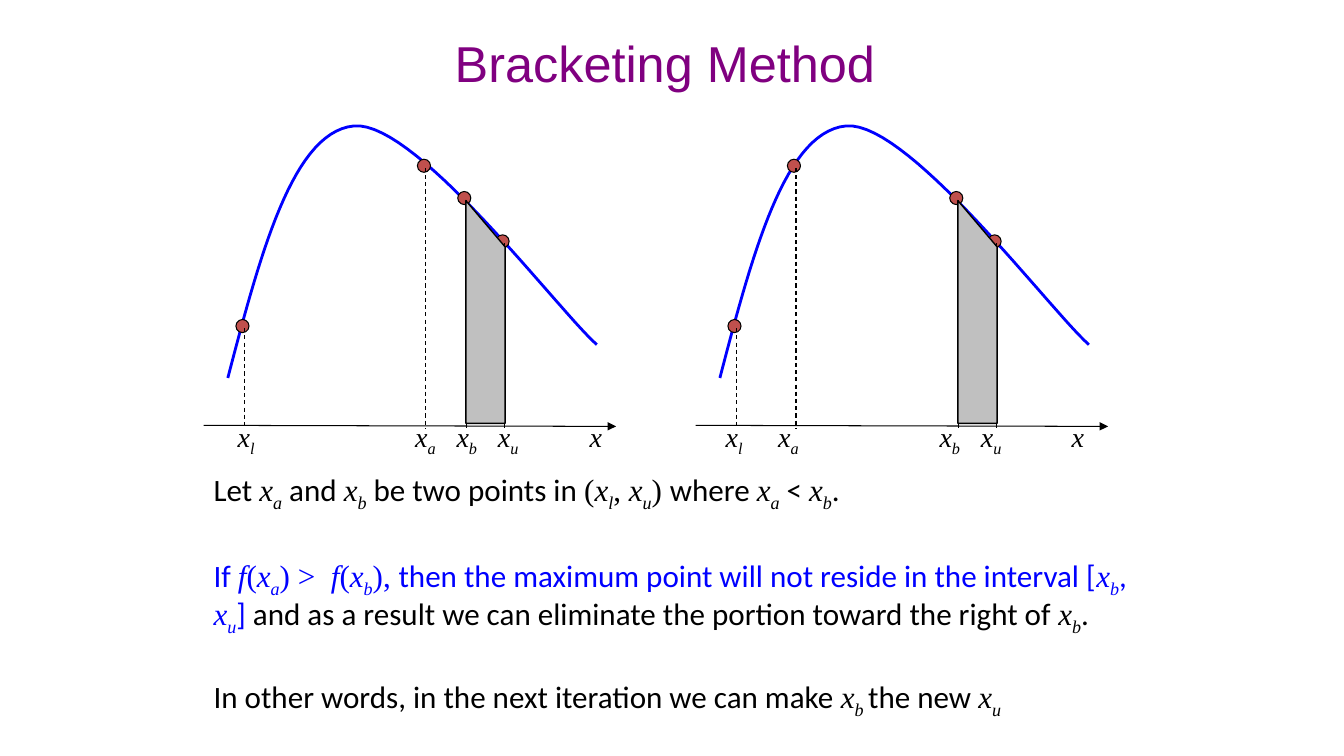
from dataclasses import dataclass

from lxml import etree
from pptx import Presentation
from pptx.dml.color import RGBColor
from pptx.enum.dml import MSO_LINE
from pptx.enum.shapes import MSO_CONNECTOR, MSO_SHAPE
from pptx.enum.text import MSO_ANCHOR, PP_ALIGN
from pptx.oxml.ns import qn
from pptx.util import Inches, Pt

STRAIGHT = MSO_CONNECTOR.STRAIGHT
OVAL = MSO_SHAPE.OVAL
DASH = MSO_LINE.DASH
MIDDLE = MSO_ANCHOR.MIDDLE
CENTER = PP_ALIGN.CENTER
TITLE_ONLY = 5
CELL = Inches(0.1)  # grid unit used for every length


@dataclass(frozen=True)
class Theme:
    black: RGBColor = RGBColor(0x00, 0x00, 0x00)
    blue: RGBColor = RGBColor(0x00, 0x00, 0xFF)
    purple: RGBColor = RGBColor(0x80, 0x00, 0x80)
    red: RGBColor = RGBColor(0xC0, 0x50, 0x4D)
    grey: RGBColor = RGBColor(0xC0, 0xC0, 0xC0)
    title_font: str = "Arial"
    body_font: str = "Calibri"
    math_font: str = "Times New Roman"
    title_size: float = 36
    body_size: float = 22.2
    label_size: float = 20
    thin: float = 0.75
    outline: float = 1
    curve: float = 2


THEME = Theme()

# Run styles: font, italic, subscript
PLAIN = (THEME.body_font, False, False)
MATH = (THEME.math_font, False, False)
VARIABLE = (THEME.math_font, True, False)
SUBSCRIPT = (THEME.math_font, True, True)


def cells(value):
    return round(value * CELL)


def add_run(paragraph, text, style, size, color):
    font_name, italic, subscript = style
    run = paragraph.add_run()
    run.text = text
    run.font.name = font_name
    run.font.size = Pt(size)
    run.font.italic = italic
    run.font.color.rgb = color
    if subscript:
        run.font._element.set("baseline", "-25000")


def add_variable(paragraph, index, size, color):
    add_run(paragraph, "x", VARIABLE, size, color)
    if index:
        add_run(paragraph, index, SUBSCRIPT, size, color)


def add_text_box(slide, box):
    frame = slide.shapes.add_textbox(*map(cells, box)).text_frame
    frame.word_wrap = True
    return frame


def add_line(slide, start, end, dashed=False, arrow=False):
    line = slide.shapes.add_connector(STRAIGHT, *map(cells, start + end))
    line.line.color.rgb = THEME.black
    line.line.width = Pt(THEME.thin)
    if dashed:
        line.line.dash_style = DASH
    if arrow:
        etree.SubElement(line.line._get_or_add_ln(), qn("a:tailEnd"), type="triangle")
    etree.SubElement(line._element.spPr, qn("a:effectLst"))


def style_shape(shape, fill, line_color, width):
    shape.shadow.inherit = False
    if fill is None:
        shape.fill.background()
    else:
        shape.fill.solid()
        shape.fill.fore_color.rgb = fill
    shape.line.color.rgb = line_color
    shape.line.width = Pt(width)


def add_outline(slide, points, closed, fill, line_color, width):
    first, *rest = [(cells(x), cells(y)) for x, y in points]
    builder = slide.shapes.build_freeform(*first)
    builder.add_line_segments(rest, close=closed)
    style_shape(builder.convert_to_shape(), fill, line_color, width)


def bezier(controls, steps=30):
    """Points along one cubic segment, without its start."""
    for step in range(1, steps + 1):
        t = step / steps
        weights = ((1 - t) ** 3, 3 * t * (1 - t) ** 2, 3 * t * t * (1 - t), t ** 3)
        yield tuple(sum(w * point[axis] for w, point in zip(weights, controls))
                    for axis in (0, 1))


def add_title(slide, text, box):
    title = slide.shapes.title
    title.left, title.top, title.width, title.height = map(cells, box)
    title.text_frame.vertical_anchor = MIDDLE
    paragraph = title.text_frame.paragraphs[0]
    paragraph.alignment = CENTER
    add_run(paragraph, text, (THEME.title_font, False, False),
            THEME.title_size, THEME.purple)


def add_axis_labels(slide, left, top, label_columns):
    first, *rest = label_columns
    frame = add_text_box(slide, (left + first - 1, top, 42, 4.3))
    paragraph = frame.paragraphs[0]
    tabs = etree.SubElement(paragraph._p.get_or_add_pPr(), qn("a:tabLst"))
    for column in rest:
        etree.SubElement(tabs, qn("a:tab"), pos=str(cells(column - first)), algn="l")
    for position, index in enumerate(("l", "a", "b", "u", "")):
        if position:
            add_run(paragraph, "\t", MATH, THEME.label_size, THEME.black)
        add_variable(paragraph, index, THEME.label_size, THEME.black)


def add_graph(slide, box, a_column, label_columns):
    left, top, width, height = box

    def place(x, y):
        return left + x, top + y

    # Axis and function curve
    add_line(slide, place(0, height), place(width, height + 0.1), arrow=True)
    controls = [place(*point) for point in (
        (2.4, 25.6), (5.6, 13.4), (8.8, 1.2), (14.9, 0.6),
        (21, 0), (35, 18.7), (39, 22.3))]
    curve = [controls[0], *bezier(controls[:4]), *bezier(controls[3:])]
    add_outline(slide, curve, False, None, THEME.blue, THEME.curve)

    # Sample points and their drop lines
    diameter = 1.3
    samples = ((3.85, 20.45), (a_column, 4.55), (29.65, 12.05), (25.85, 7.75))
    for x, y in samples:
        corner = place(x - diameter / 2, y - diameter / 2)
        dot = slide.shapes.add_shape(OVAL, *map(cells, corner + (diameter, diameter)))
        style_shape(dot, THEME.red, THEME.black, THEME.thin)
    for x, y in samples:
        add_line(slide, place(x + 0.2, y + 0.2), place(x + 0.2, height + 0.3), dashed=True)

    add_axis_labels(slide, left, top + 29.2, label_columns)

    # Eliminated interval
    corners = ((26, 30.1), (26, 8), (29.9, 12.6), (29.9, 30.1))
    add_outline(slide, [place(*corner) for corner in corners], True,
                THEME.grey, THEME.black, THEME.outline)


def add_explanation(slide, box, paragraphs):
    frame = add_text_box(slide, box)
    for position, (spacing, before, pieces) in enumerate(paragraphs):
        paragraph = frame.add_paragraph() if position else frame.paragraphs[0]
        paragraph.line_spacing = spacing
        paragraph.space_before = Pt(before)
        for text, style, color in pieces:
            if style == SUBSCRIPT:
                add_variable(paragraph, text, THEME.body_size, color)
            else:
                add_run(paragraph, text, style, THEME.body_size, color)


def colored(color, *pieces):
    """A subscript piece stands for x with that index."""
    return [(text, style, color) for text, style in pieces]


X_L, X_A, X_B, X_U = ((index, SUBSCRIPT) for index in "labu")
F = ("f", VARIABLE)
OPEN = ("(", MATH)

EXPLANATION = (
    (0.8, 10, colored(
        THEME.black, ("Let ", PLAIN), X_A, (" and ", PLAIN), X_B,
        (" be two points in ", PLAIN), OPEN, X_L, (", ", MATH), X_U, (") ", MATH),
        ("where ", PLAIN), X_A, (" < ", PLAIN), X_B, (".", PLAIN))),
    (0.9, 34.4, colored(
        THEME.blue, ("If ", PLAIN), F, OPEN, X_A, (") >  ", MATH), F, OPEN, X_B,
        ("), ", MATH),
        ("then the maximum point will not reside in the interval [", PLAIN),
        X_B, (", ", PLAIN), X_U, ("]", PLAIN)) + colored(
        THEME.black,
        (" and as a result we can eliminate the portion toward the right of ", PLAIN),
        X_B, (".", PLAIN))),
    (0.8, 34.4, colored(
        THEME.black, ("In other words, in the next iteration we can make ", PLAIN),
        ("b ", SUBSCRIPT), ("the new ", PLAIN), X_U)),
)


def main():
    presentation = Presentation()
    presentation.slide_width = Inches(13.33)
    presentation.slide_height = Inches(7.5)
    slide = presentation.slides.add_slide(presentation.slide_layouts[TITLE_ONLY])
    add_title(slide, "Bracketing Method", (21.8, 2.1, 88.3, 8.1))
    add_graph(slide, (20.2, 11.9, 40.9, 30.3), 21.85, (3.4, 21, 25.1, 29.2, 38.3))
    add_graph(slide, (69, 11.9, 40.9, 30.3), 9.75, (3, 8.2, 24.2, 28.3, 37.3))
    add_explanation(slide, (20.2, 46.6, 93.7, 25.2), EXPLANATION)
    presentation.save("out.pptx")


if __name__ == "__main__":
    main()
